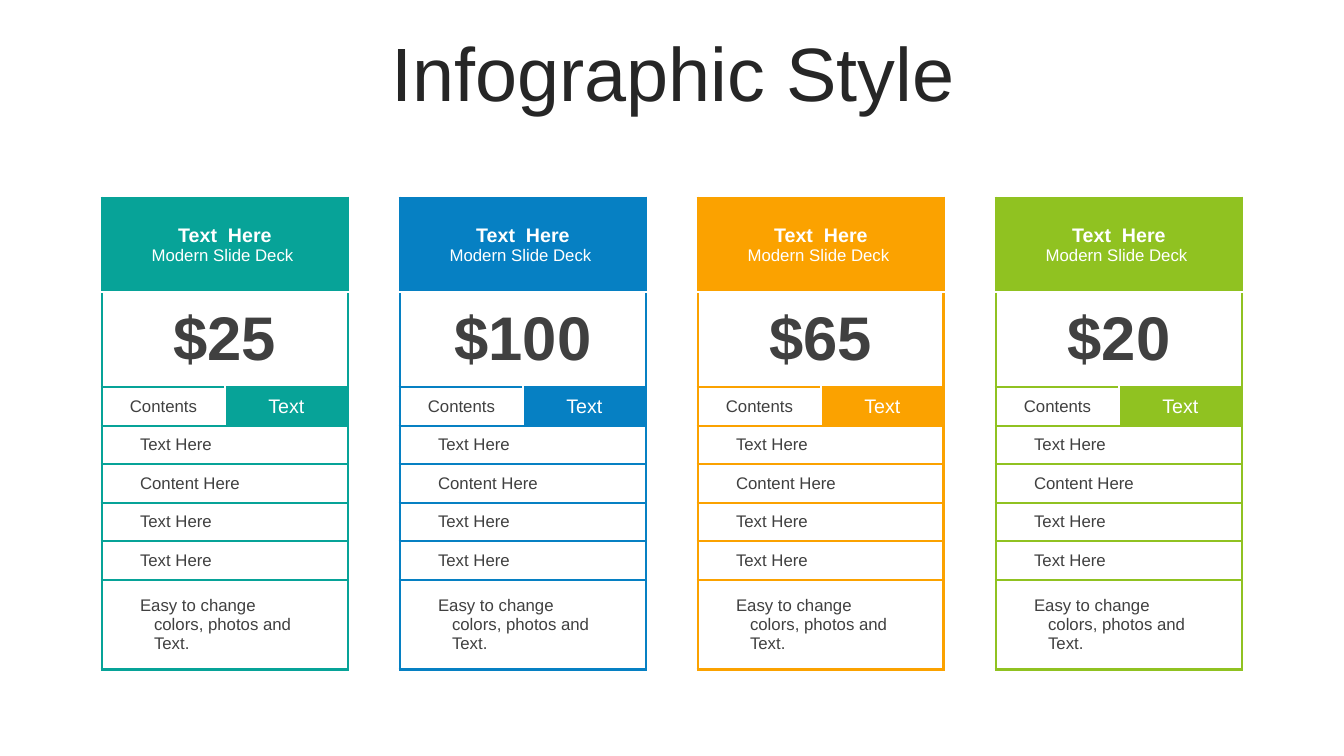
from lxml import etree
from pptx import Presentation
from pptx import util as u
from pptx.dml.color import RGBColor
from pptx.enum import text
from pptx.oxml.ns import qn

# Content
TITLE = "Infographic Style"
HEAD = ("Text  Here", "Modern Slide Deck ")
TABS = ("Contents", "Text")
ITEMS = ("Text Here", "Content Here", "Text Here", "Text Here")
FOOT = "Easy to change colors, photos and Text."
PLANS = [("teal", "$25"), ("blue", "$100"), ("orange", "$65"), ("green", "$20")]
HEX = {"teal": "07A398", "blue": "0680C3", "orange": "FBA200", "green": "90C221",
       "white": "FFFFFF", "gray": "404040", "dark": "262626"}

# Layout in pixels
PX = 914400 / 100.8
LEFT, TOP, PITCH = 102, 198, 298
COLS = (28, 95, 95, 28)
ROWS = (94, 95, 39, 38, 39, 38, 39, 90)
LAST = len(ROWS) - 1
THICK, THIN = 2.25, 1.5
PLAIN = "{2D5ABB26-0587-4C30-8999-92F81FD0307C}"
MID = text.MSO_ANCHOR.MIDDLE
CENTER, START = text.PP_ALIGN.CENTER, text.PP_ALIGN.LEFT


def px(n):
    return u.Emu(round(n * PX))


def rgb(name):
    return RGBColor.from_string(HEX[name])


def write(para, words, size, color, bold=False, **form):
    run = para.add_run()
    run.text = words
    font = {"name": "Arial", "size": u.Pt(size), "bold": bold}
    for key, val in font.items():
        setattr(run.font, key, val)
    run.font.color.rgb = rgb(color)
    for key, val in form.items():
        setattr(para, key, val)


def edge(cell, lines):
    """Draw borders; lines maps a side to (color, width)."""
    props = cell._tc.get_or_add_tcPr()
    for i, side in enumerate("LRTB"):
        line = etree.Element(qn("a:ln" + side))
        if side in lines:
            color, width = lines[side]
            line.set("w", str(u.Pt(width)))
            fill = etree.SubElement(line, qn("a:solidFill"))
            etree.SubElement(fill, qn("a:srgbClr")).set("val", HEX[color])
        else:
            etree.SubElement(line, qn("a:noFill"))
        props.insert(i, line)


def sides(row, first, last, color):
    """Borders of the cells from column first to last in a row."""
    lines = {"T": (color, THICK if row == 0 else THIN),
             "B": (color, THICK if row == LAST else THIN)}
    if first == 0:
        lines["L"] = (color, THICK)
    if last == 3:
        lines["R"] = (color, THICK)
    if row < 2:
        lines["TB"[row == 0]] = ("white", THICK)
    if row == 2 and last == 1:
        lines["R"] = ("white", THICK)
    if row == 2 and first == 2:
        lines["L"] = ("white", THICK)
    return lines


def spans(row):
    if row < 2:
        return [(0, 3)]
    return [(0, 1), (2, 3)] if row == 2 else [(0, 0), (1, 2), (3, 3)]


def plan(slide, x, color, price):
    grid = slide.shapes.add_table(len(ROWS), len(COLS), px(x), px(TOP),
                                  px(sum(COLS)), px(sum(ROWS))).table
    grid.first_row = grid.horz_banding = False
    grid._tbl.tblPr.find(qn("a:tableStyleId")).text = PLAIN
    for col, wide in zip(grid.columns, COLS):
        col.width = px(wide)
    for row, high in zip(grid.rows, ROWS):
        row.height = px(high)

    # Merges, fills and borders
    for r in range(len(ROWS)):
        for a, b in spans(r):
            if b > a:
                grid.cell(r, a).merge(grid.cell(r, b))
            full = r == 0 or (r == 2 and a == 2)
            for c in range(a, b + 1):
                cell = grid.cell(r, c)
                cell.vertical_anchor = MID
                cell.fill.solid()
                cell.fill.fore_color.rgb = rgb(color if full else "white")
                lines = sides(r, a, b, color)
                if c > a:
                    lines.pop("L", None)
                edge(cell, lines)

    # Words
    def para(r, c):
        return grid.cell(r, c).text_frame.paragraphs[0]

    write(para(0, 0), HEAD[0], 14, "white", True, alignment=CENTER)
    write(grid.cell(0, 0).text_frame.add_paragraph(), HEAD[1], 12, "white",
          alignment=CENTER)
    write(para(1, 0), price, 44, "gray", True, alignment=CENTER)
    write(para(2, 0), TABS[0], 12, "gray", alignment=CENTER)
    write(para(2, 2), TABS[1], 14, "white", alignment=CENTER)
    for r, item in enumerate(ITEMS, 3):
        write(para(r, 1), item, 12, "gray", alignment=START)
    foot = para(LAST, 1)
    write(foot, FOOT, 12, "gray", alignment=START)
    hang = foot._p.get_or_add_pPr()
    hang.set("marL", str(px(14)))
    hang.set("indent", str(px(-14)))

    # Small type in empty cells keeps the rows low
    for p in grid._tbl.iter(qn("a:p")):
        if p.find(qn("a:r")) is None:
            etree.SubElement(p, qn("a:endParaRPr")).set("sz", "1200")


deck = Presentation()
deck.slide_width, deck.slide_height = px(1344), px(756)
slide = deck.slides.add_slide(deck.slide_layouts[6])

# Title
frame = slide.shapes.add_textbox(px(35), px(37), px(1276), px(80)).text_frame
frame.word_wrap = True
frame.vertical_anchor = MID
write(frame.paragraphs[0], TITLE, 54, "dark", alignment=CENTER,
      line_spacing=0.9, space_before=u.Pt(10))

# Price tables
for i, (color, price) in enumerate(PLANS):
    plan(slide, LEFT + i * PITCH, color, price)

deck.save("out.pptx")
